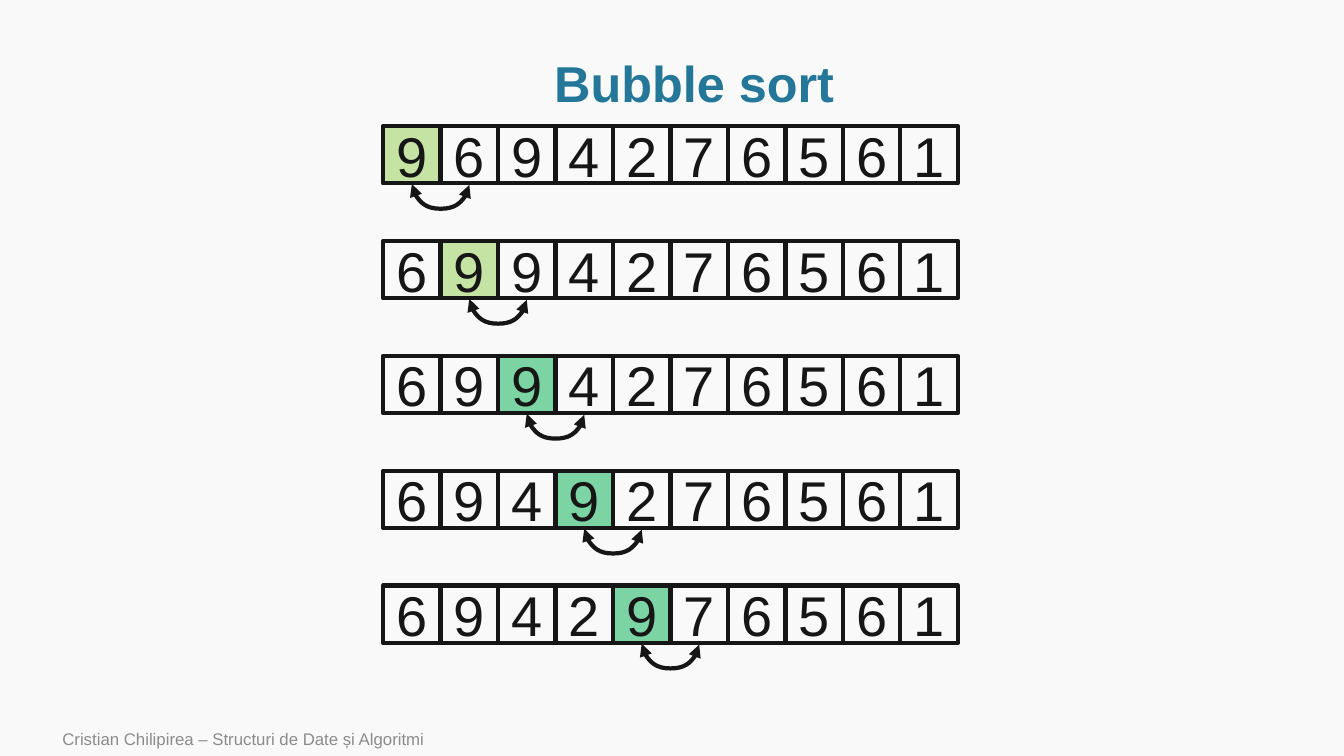
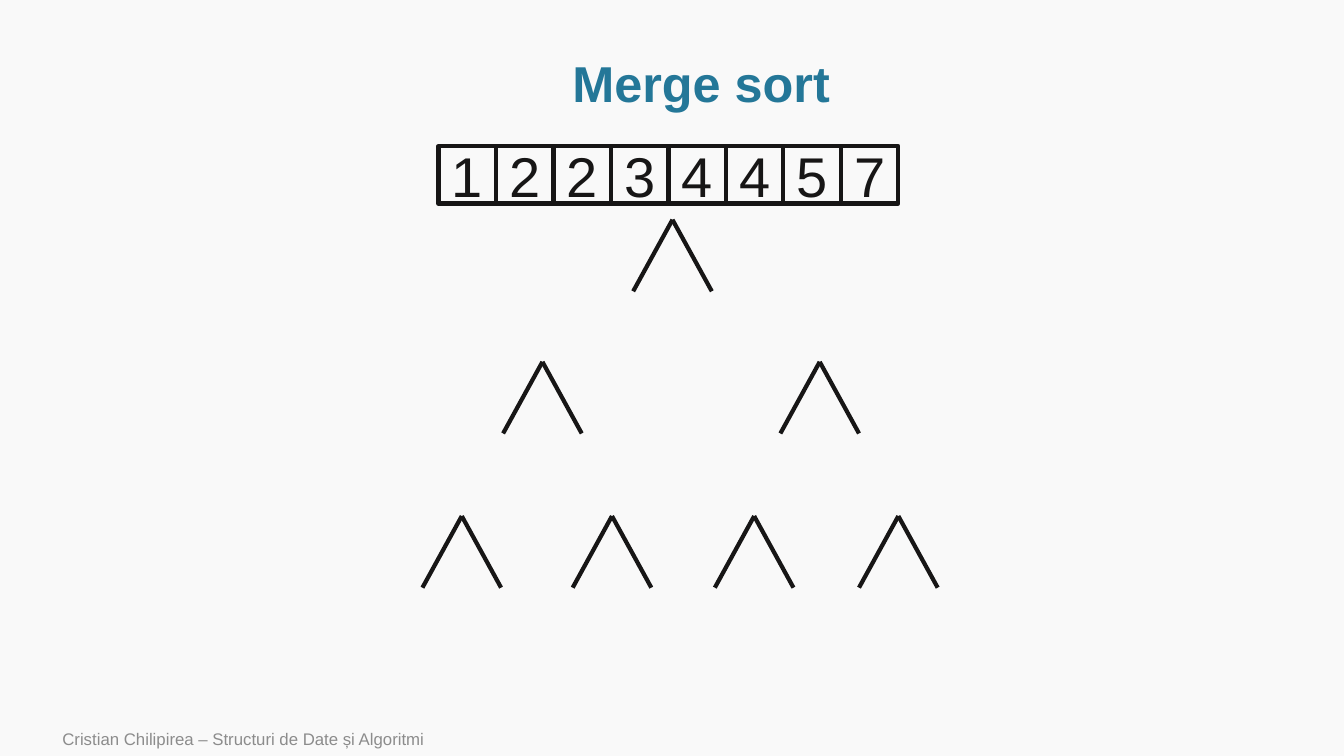
from lxml import etree
from pptx import Presentation
from pptx.dml.color import RGBColor
from pptx.enum import shapes, text
from pptx.oxml.ns import qn
from pptx.util import Inches, Pt

INK = "171616"
BACKGROUND = "F9F9F9"
LIGHT_GREEN = "92D050"
GREEN = "00B050"
TITLE_FORMAT = {"name": "Arial", "size": Pt(36), "bold": True}
DIGIT_FORMAT = {"name": "Arial", "size": Pt(40)}
FOOTER_FORMAT = {"name": "Arial", "size": Pt(12)}
FOOTER = "Cristian Chilipirea – Structuri de Date și Algoritmi"
LINE_WIDTH = Pt(3)
CELL = 0.57


def write(shape, content, alignment, color, font_format):
    frame = shape.text_frame
    frame.word_wrap = True
    frame.vertical_anchor = text.MSO_ANCHOR.MIDDLE
    paragraph = frame.paragraphs[0]
    paragraph.text = content
    paragraph.alignment = alignment
    for name, value in font_format.items():
        setattr(paragraph.font, name, value)
    paragraph.font.color.rgb = RGBColor.from_string(color)
    return paragraph


def draw_array(slide, values, left, top, active=None, highlight=None):
    """Draw one row of cells; the active cell gets a half-transparent fill."""
    for index, value in enumerate(values):
        cell = slide.shapes.add_shape(
            shapes.MSO_SHAPE.RECTANGLE, Inches(left + index * CELL), Inches(top),
            Inches(CELL), Inches(CELL))
        cell.shadow.inherit = False
        cell.line.color.rgb = RGBColor.from_string(INK)
        cell.line.width = LINE_WIDTH
        if index == active:
            cell.fill.solid()
            cell.fill.fore_color.rgb = RGBColor.from_string(highlight)
            color = cell._element.spPr.find(qn("a:solidFill")).find(qn("a:srgbClr"))
            etree.SubElement(color, qn("a:alpha"), val="50000")
        else:
            cell.fill.background()
        write(cell, str(value), text.PP_ALIGN.CENTER, INK, DIGIT_FORMAT)


presentation = Presentation()
presentation.slide_width = Inches(13.33)
presentation.slide_height = Inches(7.5)
master_fill = presentation.slide_master.background.fill
master_fill.solid()
master_fill.fore_color.rgb = RGBColor.from_string(BACKGROUND)
blank = presentation.slide_layouts[6]
bubble_slide = presentation.slides.add_slide(blank)
merge_slide = presentation.slides.add_slide(blank)

# Title and footer
for slide, title in ((bubble_slide, "Bubble sort "), (merge_slide, "Merge sort")):
    title_box = slide.shapes.add_textbox(
        Inches(1.14), Inches(0.51), Inches(11.63), Inches(0.69))
    paragraph = write(title_box, title, text.PP_ALIGN.CENTER, "247798", TITLE_FORMAT)
    paragraph.line_spacing = 0.9
    footer_box = slide.shapes.add_textbox(
        Inches(0.52), Inches(7.16), Inches(8.4), Inches(0.34))
    write(footer_box, FOOTER, text.PP_ALIGN.LEFT, "8C8C8C", FOOTER_FORMAT)

connectors = []

# Bubble sort: each step compares the active cell with the next one
ARRAY_LEFT, ARRAY_TOP, ROW_PITCH = 3.8, 1.25, 1.14
ARC_RISE, ARC_DEPTH = 0.01, 0.25
values = [9, 6, 9, 4, 2, 7, 6, 5, 6, 1]
for step, highlight in enumerate((LIGHT_GREEN, LIGHT_GREEN, GREEN, GREEN, GREEN)):
    top = ARRAY_TOP + step * ROW_PITCH
    draw_array(bubble_slide, values, ARRAY_LEFT, top, step, highlight)

    # The arc is laid out upright, then turned to hang below the two cells
    center_x = ARRAY_LEFT + (step + 1) * CELL
    center_y = top + CELL + 0.01
    arc = bubble_slide.shapes.add_connector(
        shapes.MSO_CONNECTOR.CURVE,
        Inches(center_x + ARC_RISE / 2), Inches(center_y - CELL / 2),
        Inches(center_x - ARC_RISE / 2), Inches(center_y + CELL / 2))
    properties = arc._element.spPr
    properties.find(qn("a:xfrm")).set("rot", str(270 * 60000))
    adjustments = properties.find(qn("a:prstGeom")).get_or_add_avLst()
    etree.SubElement(adjustments, qn("a:gd"), name="adj1",
                     fmla=f"val {round(ARC_DEPTH / ARC_RISE * 100000)}")
    arc.line.fill.solid()
    for end in ("a:headEnd", "a:tailEnd"):
        etree.SubElement(properties.find(qn("a:ln")), qn(end), type="triangle")
    connectors.append(arc)

    if values[step] > values[step + 1]:
        values[step], values[step + 1] = values[step + 1], values[step]

# Merge sort: sorted array above a tree of forks
BRANCH_WIDTH, BRANCH_HEIGHT = 0.39, 0.71
fork_levels = {2.18: [6.67], 3.59: [5.38, 8.13], 5.12: [4.58, 6.07, 7.48, 8.91]}
draw_array(merge_slide, [1, 2, 2, 3, 4, 4, 5, 7], 4.35, 1.45)
for peak_y, peaks in fork_levels.items():
    for peak_x in peaks:
        for side in (-1, 1):
            connectors.append(merge_slide.shapes.add_connector(
                shapes.MSO_CONNECTOR.STRAIGHT,
                Inches(peak_x + side * BRANCH_WIDTH), Inches(peak_y + BRANCH_HEIGHT),
                Inches(peak_x), Inches(peak_y)))

for connector in connectors:
    connector.line.color.rgb = RGBColor.from_string(INK)
    connector.line.width = LINE_WIDTH
    etree.SubElement(connector._element.spPr, qn("a:effectLst"))

presentation.save("out.pptx")
